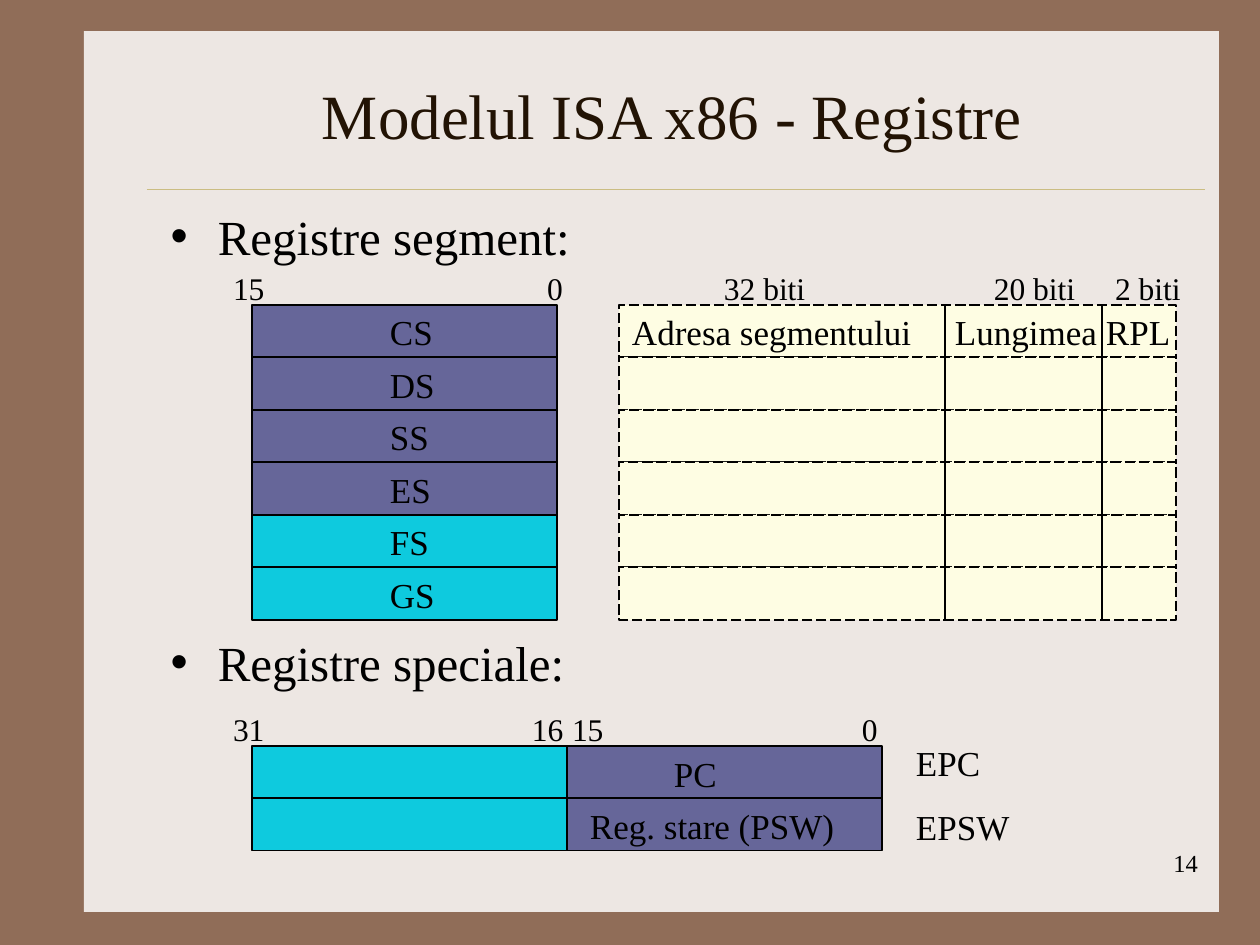
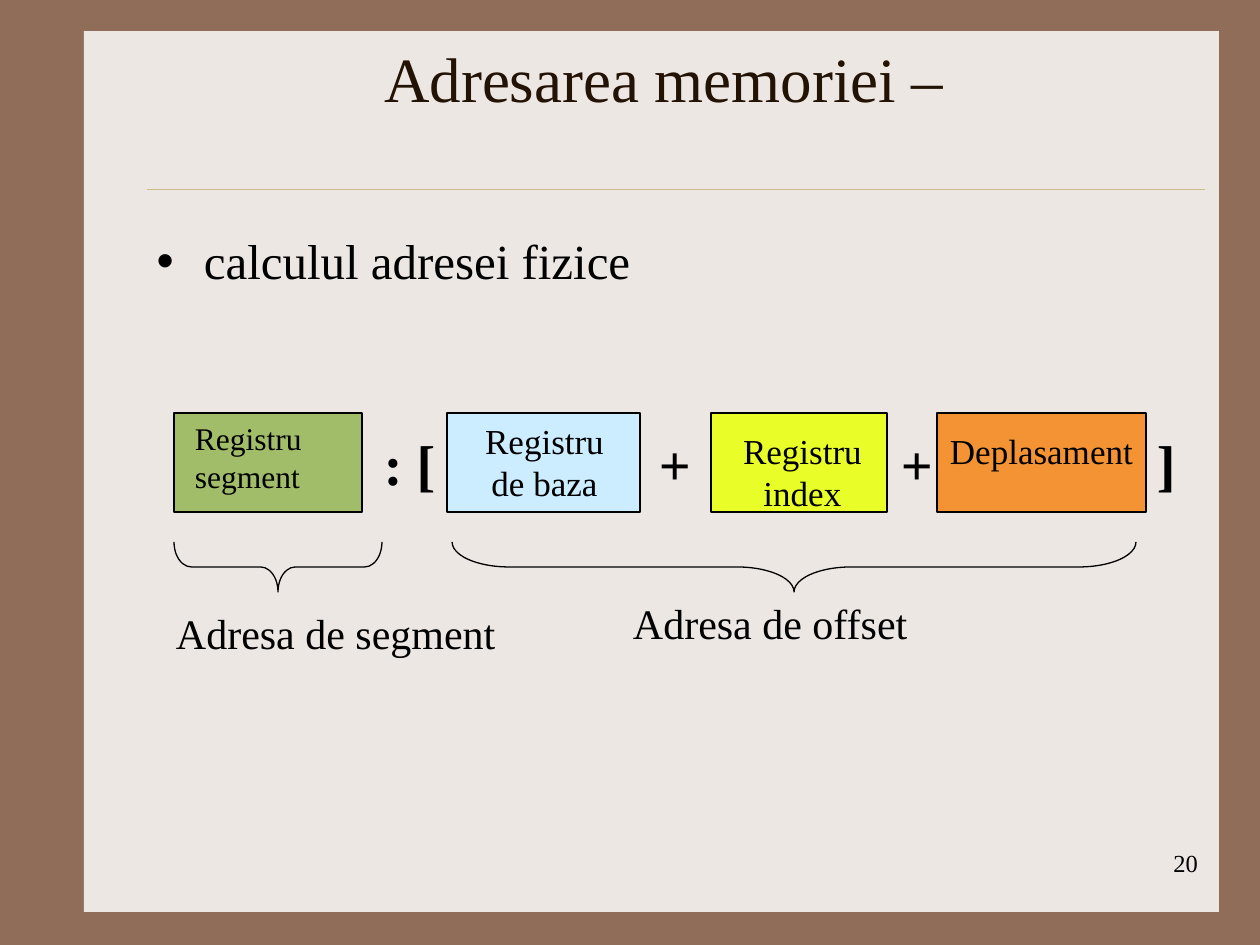
"""Build two slides on x86 registers and memory addressing."""
import pptx
import pptx.dml.color
import pptx.enum.dml
import pptx.enum.shapes
import pptx.enum.text
import pptx.oxml.ns
import pptx.util
from lxml import etree

PX = 7257
HUES = {
    "back": "906D58", "panel": "EDE7E3", "rule": "CBBD83", "title": "221304",
    "ink": "000000", "old": "666699", "new": "0ECADE", "cache": "FEFDE3",
    "green": "A1BD69", "sky": "CCECFF", "lime": "E9FD29", "orange": "F39333",
}
RGB = {name: pptx.dml.color.RGBColor.from_string(code) for name, code in HUES.items()}
KIND = pptx.enum.shapes.MSO_SHAPE
ALIGN = pptx.enum.text.PP_ALIGN
ANCHOR = pptx.enum.text.MSO_ANCHOR


def block(page, at, words="", size=20, fill=None, edge="ink", kind=KIND.RECTANGLE,
          inset=(0, 0), align=ALIGN.LEFT, anchor=ANCHOR.TOP, bold=False):
    place = [PX * n for n in at]
    if fill or kind != KIND.RECTANGLE:
        shape = page.shapes.add_shape(kind, *place)
        shape.shadow.inherit = False
        if fill:
            shape.fill.solid()
            shape.fill.fore_color.rgb = RGB[fill]
        else:
            shape.fill.background()
        if edge:
            shape.line.color.rgb = RGB[edge]
            shape.line.width = pptx.util.Pt(0.75)
        else:
            shape.line.fill.background()
    else:
        shape = page.shapes.add_textbox(*place)
    if words:
        frame = shape.text_frame
        frame.text = words
        look = {"margin_left": PX * inset[0], "margin_top": PX * inset[1],
                "margin_right": 0, "margin_bottom": 0,
                "word_wrap": True, "vertical_anchor": anchor}
        for key, value in look.items():
            setattr(frame, key, value)
        for para in frame.paragraphs:
            para.alignment = align
            for run in para.runs:
                run.font.name = "Times New Roman"
                run.font.size = pptx.util.Pt(size)
                run.font.bold = bold
                run.font.color.rgb = RGB["ink"]
    return shape


def rule(page, start, end, hue="ink", width=0.75):
    line = page.shapes.add_connector(
        pptx.enum.shapes.MSO_CONNECTOR.STRAIGHT, *[PX * n for n in start + end])
    line.line.color.rgb = RGB[hue]
    line.line.width = pptx.util.Pt(width)
    etree.SubElement(line.element.spPr, pptx.oxml.ns.qn("a:effectLst"))
    return line


deck = pptx.Presentation()
deck.slide_width = pptx.util.Inches(10)
deck.slide_height = pptx.util.Inches(7.5)
back = deck.slide_master.background.fill
back.solid()
back.fore_color.rgb = RGB["back"]
layout = deck.slide_layouts[1]

plans = [
    ("Modelul ISA x86 - Registre", (147, 51), (158, 199),
     ["Registre segment:", "Registre speciale:"], "14"),
    ("Adresarea memoriei –", (139, 14), (144, 224), ["calculul adresei fizice"], "20"),
]
pages = []
for title, spot, origin, items, number in plans:
    page = deck.slides.add_slide(layout)
    pages.append(page)
    head, body = page.placeholders
    head.text_frame.text = title
    body.text_frame.text = "\n".join(items)
    for holder, (left, top), high, size, hue in (
            (head, spot, 126, 36, "title"), (body, origin, 609, 28, "ink")):
        place = {"left": left, "top": top, "width": 1050, "height": high}
        for key, value in place.items():
            setattr(holder, key, PX * value)
        holder.text_frame.auto_size = pptx.enum.text.MSO_AUTO_SIZE.NONE
        for index, para in enumerate(holder.text_frame.paragraphs):
            para.space_before = pptx.util.Pt(210 * index)
            font = para.runs[0].font
            font.name = "Times New Roman"
            font.size = pptx.util.Pt(size)
            font.color.rgb = RGB[hue]
    head.text_frame.vertical_anchor = ANCHOR.MIDDLE
    body.text_frame.margin_top = PX * 7
    block(page, (949, 848, 249, 28), number, 14, align=ALIGN.RIGHT)

regs, addr = pages
panel = block(regs, (84, 31, 1135, 881), fill="panel", edge=None)
under = rule(regs, (147, 189), (1205, 189), "rule", 0.25)
for depth, part in enumerate((panel, under), 2):
    layout.shapes.element.insert(depth, part.element)

for row, name in enumerate(["CS", "DS", "SS", "ES", "FS", "GS"]):
    top, end = [305 + n * 105 // 2 for n in (row, row + 1)]
    block(regs, (252, top, 305, end - top), name, fill="old" if row < 4 else "new",
          inset=(138, 2), anchor=ANCHOR.MIDDLE)
    cell = block(regs, (619, top, 557, end - top), fill="cache")
    cell.line.dash_style = pptx.enum.dml.MSO_LINE.LONG_DASH
    for left in (945, 1102):
        rule(regs, (left, top), (left, end))

for row, (name, indent) in enumerate([("PC", 107), ("Reg. stare (PSW)", 23)]):
    top = 746 + row * 52
    block(regs, (252, top, 315, 53), fill="new")
    block(regs, (567, top, 315, 53), name, fill="old", inset=(indent, 2),
          anchor=ANCHOR.MIDDLE)

tags = [
    (18, 269, [("15", 233), ("0", 547), ("32 biti", 724), ("20 biti", 994),
               ("2 biti", 1115)]),
    (20, 311, [("Adresa segmentului", 632), ("Lungimea", 955), ("RPL", 1106)]),
    (18, 710, [("31", 233), ("16", 532), ("15", 572), ("0", 862)]),
    (20, 742, [("EPC", 916)]),
    (20, 806, [("EPSW", 916)]),
]
for size, top, words in tags:
    for word, left in words:
        block(regs, (left, top, size * (len(word) + 2), size * 2), word, size)

terms = [
    ("Registru segment", 174, 188, "green", 18, (21, 6), ALIGN.LEFT),
    ("Registru\vde baza", 447, 193, "sky", 20, (2, 7), ALIGN.CENTER),
    ("Registru index", 711, 176, "lime", 20, (7, 17), ALIGN.CENTER),
    ("Deplasament", 937, 209, "orange", 20, (13, 17), ALIGN.LEFT),
]
for words, left, wide, hue, size, inset, align in terms:
    block(addr, (left, 413, wide, 99), words, size, hue, inset=inset, align=align)

for sign, left in ((": [", 384), ("+", 659), ("+", 901), ("]", 1157)):
    block(addr, (left, 430, 60, 64), sign, 32, bold=True)

spans = [("Adresa de segment", 174, 382, 176, 608),
         ("Adresa de offset", 452, 1136, 633, 598)]
for words, start, end, left, top in spans:
    span = end - start
    brace = block(addr, ((start + end) // 2 - 25, 567 - span // 2, 50, span),
                  kind=KIND.RIGHT_BRACE)
    brace.rotation = 90
    brace.adjustments[0] = span / 12 / 50
    block(addr, (left, top, 340, 48), words, 24)

deck.save("out.pptx")
